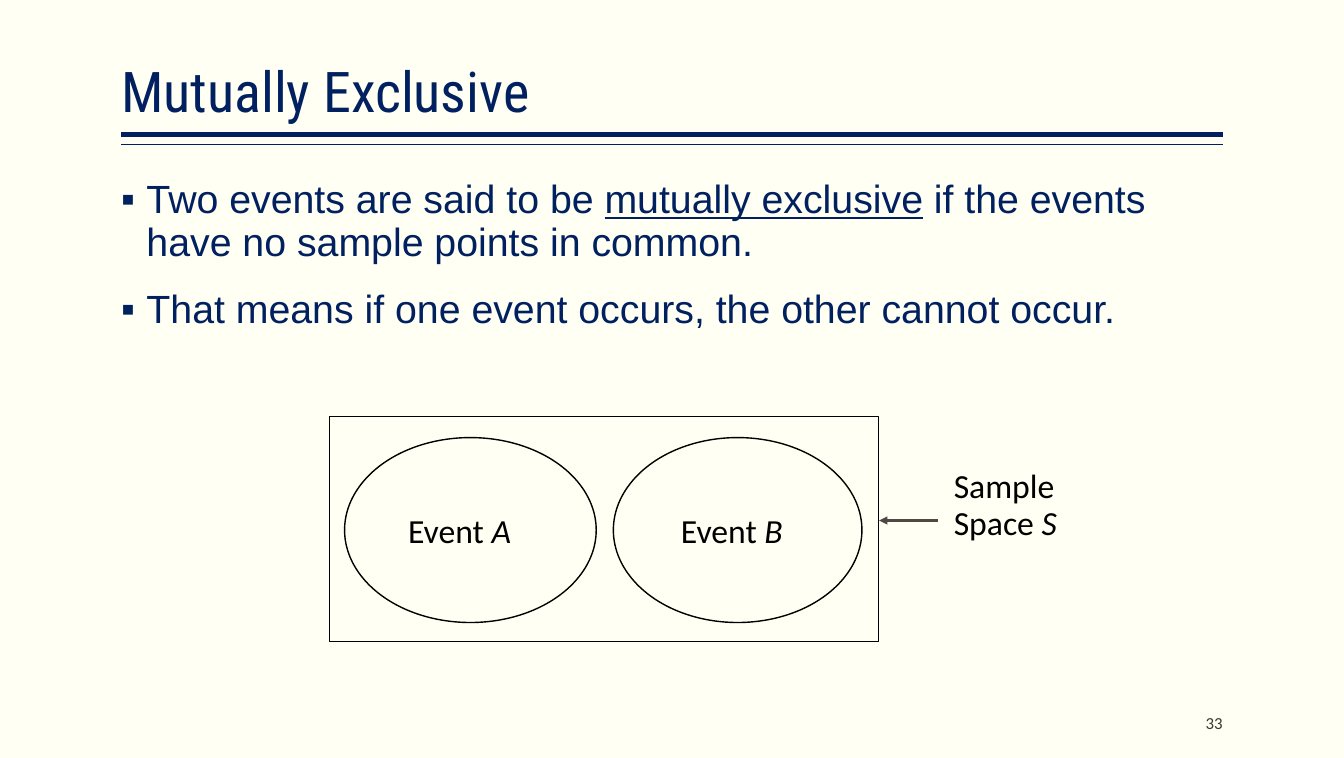
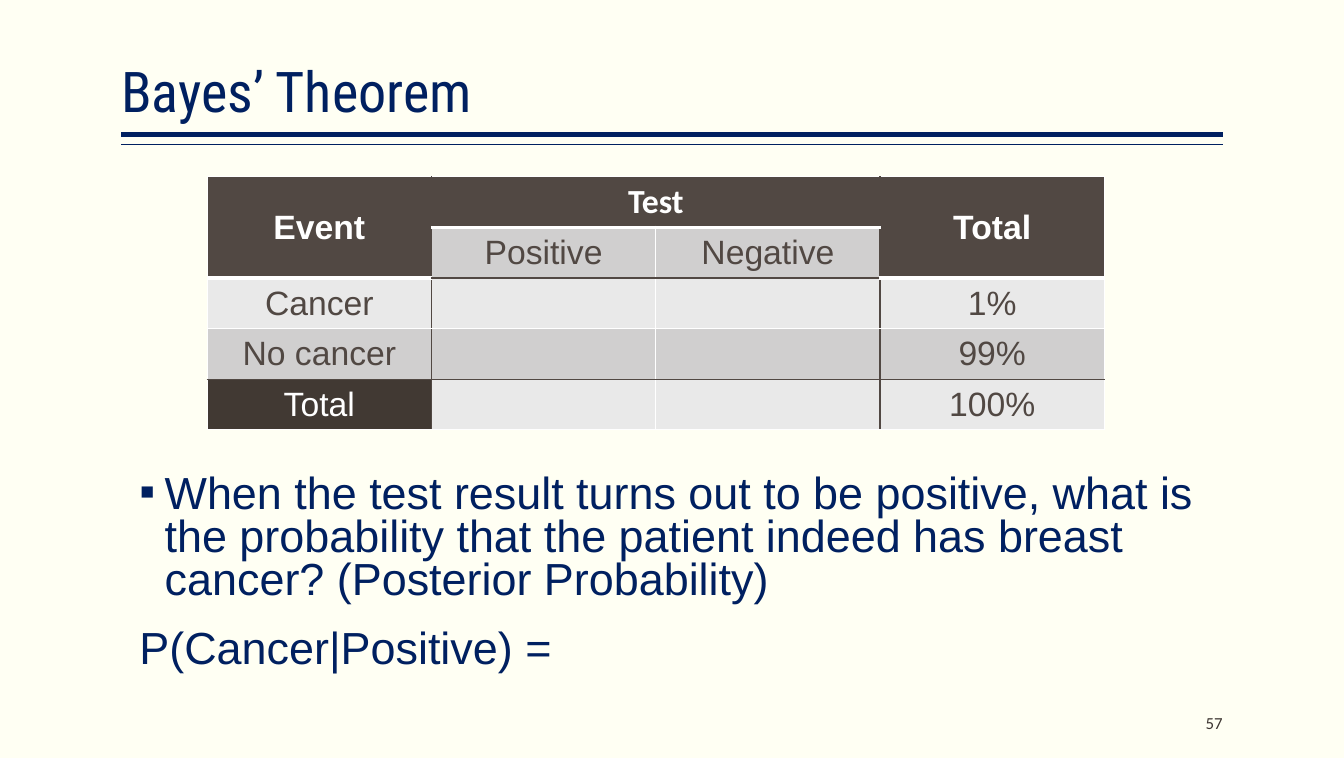
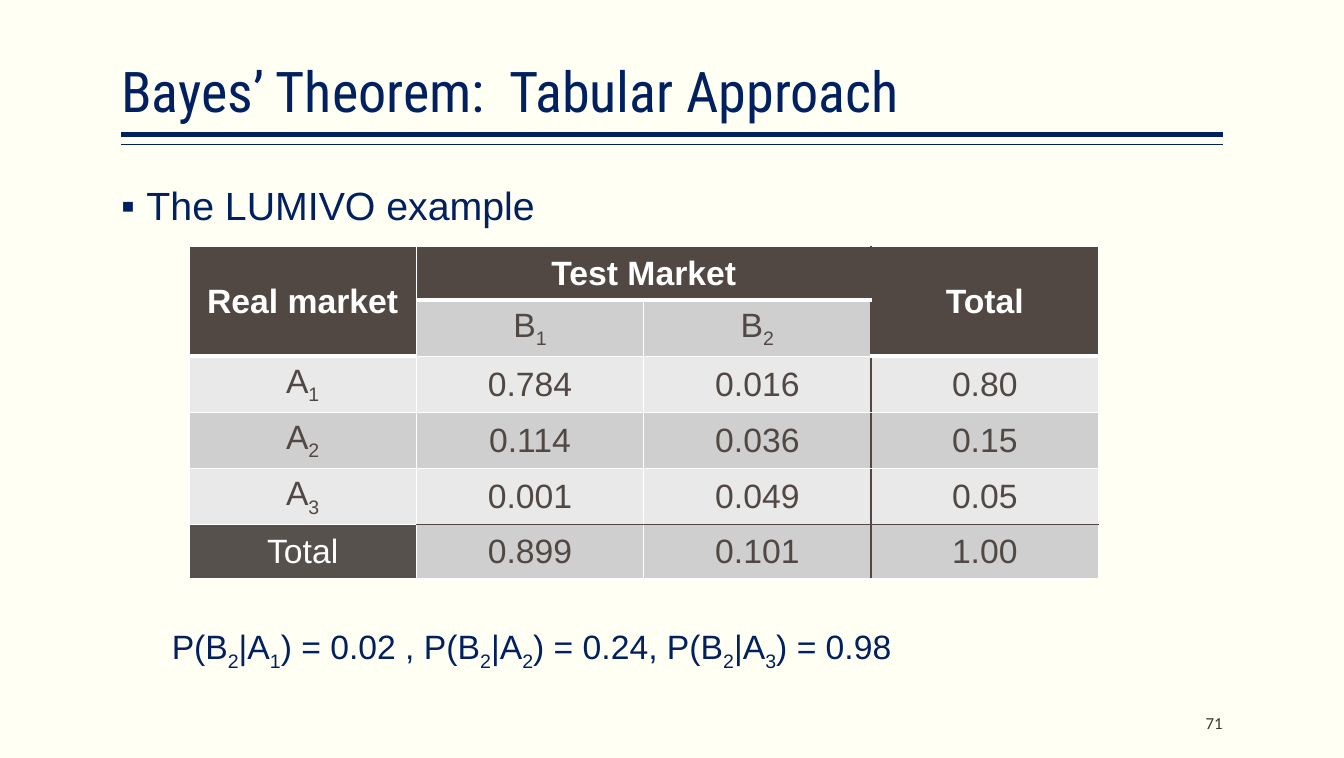
"""Build three probability slides: mutually exclusive events and Bayes' theorem tables."""
from lxml.etree import SubElement
from pptx import Presentation
from pptx.dml.color import RGBColor
from pptx.enum.shapes import MSO_CONNECTOR as Connector, MSO_SHAPE as Preset
from pptx.enum.text import MSO_ANCHOR as Anchor, PP_ALIGN as Align
from pptx.oxml.ns import qn
from pptx.util import Inches, Pt

COLORS = {
    "page": "FFFFF3", "navy": "002060", "brown": "514843", "black": "000000",
    "white": "FFFFFF", "number": "3D3632", "odd": "D0CFCF", "even": "E9E9E9",
}
FONTS = {
    "title": {"name": "Roboto Condensed", "size": Pt(40), "color": "navy"},
    "body": {"name": "Arial", "size": Pt(28), "color": "navy"},
    "question": {"name": "Arial", "size": Pt(32), "color": "navy"},
    "formula": {"name": "Arial", "size": Pt(24), "color": "navy"},
    "label": {"name": "Calibri", "size": Pt(24), "color": "black"},
    "number": {"name": "Calibri", "size": Pt(12), "color": "number"},
    "head": {"name": "Arial", "size": Pt(24), "color": "white", "bold": True},
    "total": {"name": "Arial", "size": Pt(24), "color": "white"},
    "cell": {"name": "Arial", "size": Pt(24), "color": "brown"},
}
LEFT, RIGHT = 1.2, 12.1
WIDTH = RIGHT - LEFT
HEADER_SPANS = [((0, 0), (1, 0)), ((0, 1), (0, 2)), ((0, 3), (1, 3))]
HEADER_EDGES = [
    ("row", 1, range(4), "white", 3),
    ("row", 2, (0, 3), "white", 3),
    ("column", 2, (0,), "brown", 1),
]


def rgb(name):
    return RGBColor.from_string(COLORS[name])


def subscripted(text):
    """Split text into runs, lowering the character after each underscore."""
    start, *rest = text.split("_")
    runs = [(start, {})]
    for piece in rest:
        runs += [(piece[0], {"baseline": "-25000"}), (piece[1:], {})]
    return [run for run in runs if run[0]]


def write_runs(para, content, style):
    runs = subscripted(content) if isinstance(content, str) else content
    for text, changes in runs:
        span = para.add_run()
        span.text = text
        for key, value in {**FONTS[style], **changes}.items():
            if key == "color":
                span.font.color.rgb = rgb(value)
            elif key == "baseline":
                span._r.get_or_add_rPr().set(key, value)
            else:
                setattr(span.font, key, value)


def add_bullet(para):
    properties = para._p.get_or_add_pPr()
    properties.set("marL", str(Inches(0.25)))
    properties.set("indent", str(Inches(-0.25)))
    SubElement(properties, qn("a:buFont")).set("typeface", "Arial")
    SubElement(properties, qn("a:buChar")).set("char", "▪")


def add_text(slide, place, paragraphs, style, side=0, spacing=0.9, before=0,
             bullets=0, align=Align.LEFT, anchor=Anchor.TOP):
    """Add a text box whose first few paragraphs may carry bullets."""
    box = slide.shapes.add_textbox(*map(Inches, place))
    frame = box.text_frame
    settings = {"word_wrap": True, "vertical_anchor": anchor,
                "margin_left": Inches(side), "margin_right": Inches(side)}
    for key, value in settings.items():
        setattr(frame, key, value)
    for index, content in enumerate(paragraphs):
        para = frame.add_paragraph() if index else frame.paragraphs[0]
        if index < bullets:
            add_bullet(para)
        layout = {"alignment": align, "line_spacing": spacing,
                  "space_before": Pt(before if index else 0)}
        for key, value in layout.items():
            setattr(para, key, value)
        write_runs(para, content, style)


def add_line(slide, start, end, color, width, arrow=False):
    ends = map(Inches, (*start, *end))
    line = slide.shapes.add_connector(Connector.STRAIGHT, *ends)
    line.line.color.rgb = rgb(color)
    line.line.width = Pt(width)
    if arrow:
        outline = line.line._get_or_add_ln()
        SubElement(outline, qn("a:tailEnd")).set("type", "triangle")
    SubElement(line.element.spPr, qn("a:effectLst"))


def add_outline(slide, preset, place, width):
    shape = slide.shapes.add_shape(preset, *map(Inches, place))
    shape.shadow.inherit = False
    shape.fill.background()
    shape.line.color.rgb = rgb("black")
    shape.line.width = Pt(width)


def add_page(deck, title, number):
    """Add a slide with the shared title, double rule and page number."""
    slide = deck.slides.add_slide(deck.slide_layouts[6])
    for height, width in ((1.33, 3), (1.43, 1)):
        add_line(slide, (LEFT, height), (RIGHT, height), "navy", width)
    add_text(slide, (LEFT, 0.08, WIDTH, 1.2), [title], "title", anchor=Anchor.BOTTOM)
    add_text(slide, (RIGHT - 2, 6.95, 2, 0.4), [str(number)], "number",
             spacing=1, align=Align.RIGHT, anchor=Anchor.MIDDLE)
    return slide


def border_map(row_count, column_count, edges):
    """Map each cell side to a colour and width; an edge is shared by both neighbours."""
    borders = {(row, column, side): ("white", 1) for row in range(row_count)
               for column in range(column_count) for side in "LRTB"}
    for direction, position, others, color, width in edges:
        for other in others:
            if direction == "row":
                pair = (position - 1, other, "B"), (position, other, "T")
            else:
                pair = (other, position - 1, "R"), (other, position, "L")
            borders.update(dict.fromkeys(pair, (color, width)))
    return borders


def draw_border(cell, side, color, width):
    properties = cell._tc.get_or_add_tcPr()
    border = SubElement(properties, qn(f"a:ln{side}"), w=str(Pt(width)))
    fill = SubElement(border, qn("a:solidFill"))
    SubElement(fill, qn("a:srgbClr"), val=COLORS[color])


def cell_look(row, column, last_row, total_fill):
    if row == 0 or (row == 1 and column in (0, 3)):
        return "head", COLORS["brown"]
    if row == last_row and column == 0:
        return "total", total_fill
    return "cell", COLORS["odd" if row % 2 else "even"]


def add_grid(slide, corner, column_width, row_height, rows, edges, total_fill):
    """Add a table with a two-row header and a total row."""
    row_count, column_count = len(rows), len(rows[0])
    size = column_width * column_count, row_height * row_count
    table = slide.shapes.add_table(row_count, column_count,
                                   *map(Inches, (*corner, *size))).table
    table.first_row = table.horz_banding = False
    borders = border_map(row_count, column_count, HEADER_EDGES + edges)
    for first, last in HEADER_SPANS:
        table.cell(*first).merge(table.cell(*last))
    for row, values in enumerate(rows):
        table.rows[row].height = Inches(row_height)
        for column, content in enumerate(values):
            cell = table.cell(row, column)
            for side in "LRTB":
                draw_border(cell, side, *borders[row, column, side])
            style, fill = cell_look(row, column, row_count - 1, total_fill)
            cell.fill.solid()
            cell.fill.fore_color.rgb = RGBColor.from_string(fill)
            cell.vertical_anchor = Anchor.MIDDLE
            para = cell.text_frame.paragraphs[0]
            para.alignment = Align.CENTER
            if content:
                write_runs(para, content, style)


def build_exclusive(deck):
    slide = add_page(deck, "Mutually Exclusive", 33)
    add_text(slide, (LEFT, 1.73, WIDTH, 2), [
        [("Two events are said to be ", {}),
         ("mutually exclusive", {"underline": True}),
         (" if the events have no sample points in common.", {})],
        "That means if one event occurs, the other cannot occur.",
    ], "body", before=18, bullets=2)
    add_outline(slide, Preset.RECTANGLE, (3.26, 4.12, 5.43, 2.23), 0.5)
    events = (("A", 3.41, 2.49, 3.94), ("B", 6.07, 2.46, 6.64))
    for name, left, width, text_left in events:
        add_outline(slide, Preset.OVAL, (left, 4.33, width, 1.83), 1)
        add_text(slide, (text_left, 5, 1.8, 0.5),
                 [[("Event ", {}), (name, {"italic": True})]],
                 "label", side=0.1, spacing=1)
    add_text(slide, (9.34, 4.6, 1.5, 0.83),
             ["Sample", [("Space ", {}), ("S", {"italic": True})]], "label", side=0.1)
    add_line(slide, (9.28, 5.15), (8.7, 5.15), "brown", 1.5, arrow=True)


def build_theorem(deck):
    slide = add_page(deck, "Bayes’ Theorem", 57)
    rows = [
        ["Event", [("Test", {"name": "Calibri"})], "", "Total"],
        ["", "Positive", "Negative", ""],
        ["Cancer", "", "", "1%"],
        ["No cancer", "", "", "99%"],
        ["Total", "", "", "100%"],
    ]
    edges = [("column", 1, range(5), "brown", 1), ("column", 3, range(5), "brown", 1),
             ("row", 2, (1, 2), "brown", 1), ("row", 4, range(4), "brown", 1)]
    add_grid(slide, (2.05, 1.75), 2.22, 0.47, rows, edges, "413933")
    add_text(slide, (1.38, 4.65, WIDTH, 2.17), [
        "When the test result turns out to be positive, what is the probability "
        "that the patient indeed has breast cancer? (Posterior Probability)",
        "P(Cancer|Positive) =",
    ], "question", spacing=0.8, before=18, bullets=1)


def build_tabular(deck):
    slide = add_page(deck, "Bayes’ Theorem:  Tabular Approach", 71)
    add_text(slide, (LEFT, 1.8, WIDTH, 0.6), ["The LUMIVO example"], "body", bullets=1)
    rows = [
        ["Real market", "Test Market", "", "Total"],
        ["", "B_1", "B_2", ""],
        ["A_1", "0.784", "0.016", "0.80"],
        ["A_2", "0.114", "0.036", "0.15"],
        ["A_3", "0.001", "0.049", "0.05"],
        ["Total", "0.899", "0.101", "1.00"],
    ]
    edges = [("column", 3, range(6), "brown", 1), ("row", 5, (1, 2, 3), "brown", 1)]
    add_grid(slide, (1.87, 2.44), 2.25, 0.53, rows, edges, "56514D")
    add_text(slide, (1.7, 6.15, 10.4, 0.5),
             ["P(B_2|A_1) = 0.02 , P(B_2|A_2) = 0.24, P(B_2|A_3) = 0.98"], "formula")


def main():
    deck = Presentation()
    deck.slide_width, deck.slide_height = Inches(13.3), Inches(7.5)
    background = deck.slide_master.background.fill
    background.solid()
    background.fore_color.rgb = rgb("page")
    for build in (build_exclusive, build_theorem, build_tabular):
        build(deck)
    deck.save("out.pptx")


if __name__ == "__main__":
    main()
